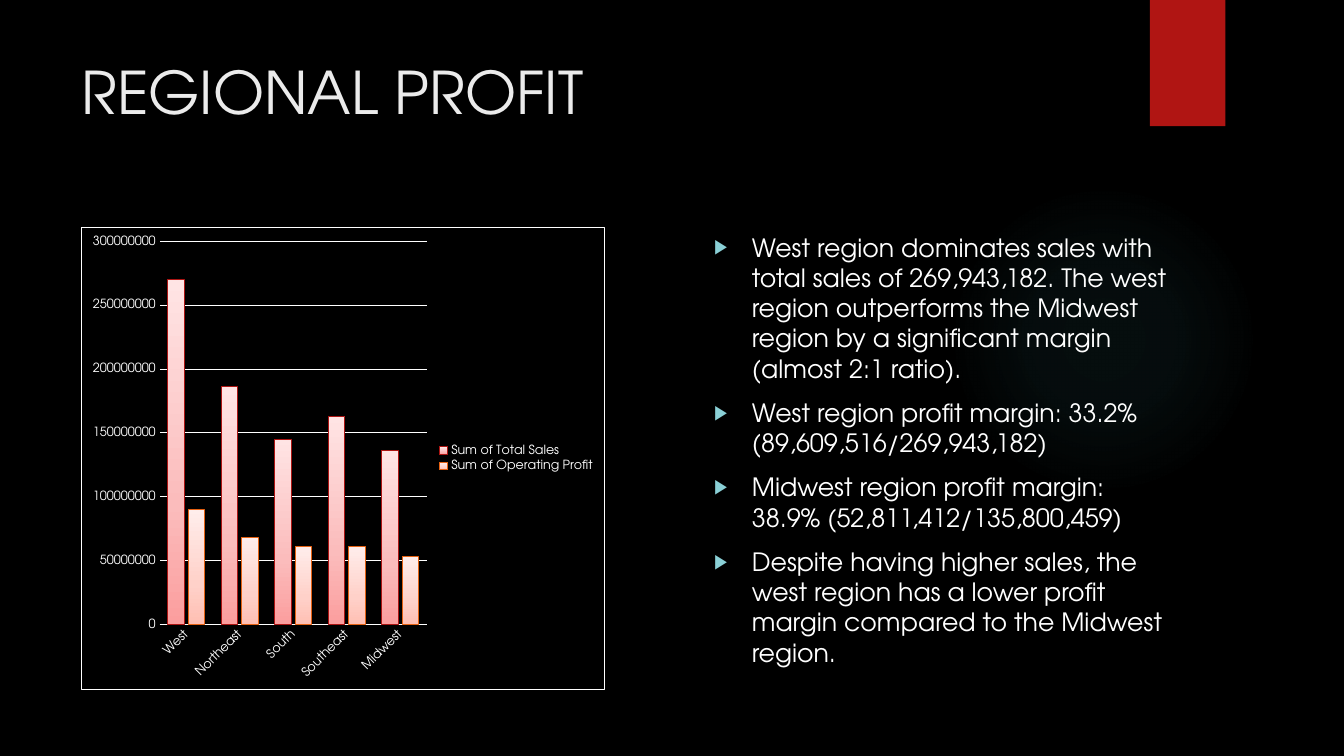
"""Build the regional profit slide: clustered columns beside a bulleted summary."""
import lxml.etree
import pptx
import pptx.chart.data
import pptx.dml.color
import pptx.enum.chart
import pptx.enum.shapes
import pptx.enum.text
import pptx.oxml.ns
import pptx.util

Cm, Pt, qn = pptx.util.Cm, pptx.util.Pt, pptx.oxml.ns.qn
FONT = "TeX Gyre Adventor"
NS = pptx.oxml.ns.nsdecls("a", "c")


def rgb(color):
    return pptx.dml.color.RGBColor.from_string(color)


def add_text(tf, text, size=18, color="FFFFFF", before=0, bullet=None, first=False):
    p = tf.paragraphs[0] if first else tf.add_paragraph()
    p.space_before = Pt(before)
    r = p.add_run()
    r.text = text
    r.font.name, r.font.size, r.font.color.rgb = FONT, Pt(size), rgb(color)
    if bullet:
        pPr = p._p.get_or_add_pPr()
        pPr.set("marL", str(Cm(0.95)))
        pPr.set("indent", str(-Cm(0.95)))
        for tag, key, value in [("buClr", None, None), ("buSzPct", "val", "80000"),
                                ("buFont", "typeface", "Arial"), ("buChar", "char", "▶")]:
            bu = lxml.etree.SubElement(pPr, qn(f"a:{tag}"))
            if key:
                bu.set(key, value)
            else:
                lxml.etree.SubElement(bu, qn("a:srgbClr")).set("val", bullet)


prs = pptx.Presentation()
prs.slide_width, prs.slide_height = Cm(33.87), Cm(19.05)
s = prs.slides.add_slide(prs.slide_layouts[6])
s.background.fill.solid()
s.background.fill.fore_color.rgb = rgb("000000")

SHAPE = pptx.enum.shapes.MSO_SHAPE
shapes = []
for kind, color, box in [
    (SHAPE.OVAL, "50B9C1", (23.9, 4.65, 7.82, 7.82)),
    (SHAPE.RECTANGLE, "B01513", (28.98, 0, 1.9, 3.18)),
]:
    sp = s.shapes.add_shape(kind, *map(Cm, box))
    sp.shadow.inherit = False
    sp.fill.solid()
    sp.fill.fore_color.rgb = rgb(color)
    sp.line.fill.background()
    shapes.append(sp)
glow = shapes[0]

frames = []
for box in [(1.8, 1.27, 26.14, 3.89), (17.75, 5.72, 12.22, 11.66)]:
    tf = s.shapes.add_textbox(*map(Cm, box)).text_frame
    tf.word_wrap = True
    tf.vertical_anchor = pptx.enum.text.MSO_ANCHOR.TOP
    frames.append(tf)
title, body = frames
add_text(title, "REGIONAL PROFIT", size=42, color="EBEBEB", first=True)
for i, text in enumerate([
    "West region dominates sales with total sales of 269,943,182. The west region "
    "outperforms the Midwest region by a significant margin (almost 2:1 ratio).",
    "West region profit margin: 33.2% (89,609,516/269,943,182)",
    "Midwest region profit margin: 38.9% (52,811,412/135,800,459)",
    "Despite having higher sales, the west region has a lower profit margin "
    "compared to the Midwest region.",
]):
    add_text(body, text, before=10, bullet="8AD0D6", first=i == 0)

data = pptx.chart.data.CategoryChartData(number_format="General")
data.categories = ["West", "Northeast", "South", "Southeast", "Midwest"]
for name, millions in [
    ("Sum of Total Sales", (270, 186, 145, 163, 136)),
    ("Sum of Operating Profit", (90, 68, 61, 61, 53)),
]:
    data.add_series(name, [m * 1000000 for m in millions])
chart = s.shapes.add_chart(
    pptx.enum.chart.XL_CHART_TYPE.COLUMN_CLUSTERED,
    Cm(2.03), Cm(5.72), Cm(13.23), Cm(11.66), data).chart
chart.has_title = False
chart.has_legend = True
chart.legend.position = pptx.enum.chart.XL_LEGEND_POSITION.RIGHT
chart.legend.include_in_layout = False

cat, val = chart.category_axis, chart.value_axis
for font, size in [(chart.font, 10), (chart.legend.font, 9),
                   (cat.tick_labels.font, 9), (val.tick_labels.font, 9)]:
    font.name, font.size, font.color.rgb = FONT, Pt(size), rgb("FFFFFF")
for axis in (cat, val):
    axis.major_tick_mark = axis.minor_tick_mark = pptx.enum.chart.XL_TICK_MARK.NONE
val.minimum_scale, val.maximum_scale, val.major_unit = 0, 300000000, 50000000
val.has_major_gridlines = True
val.format.line.fill.background()
for line in (cat.format.line, val.major_gridlines.format.line):
    line.color.rgb, line.width = rgb("FFFFFF"), Pt(0.75)

plot = chart.plots[0]
plot.gap_width, plot.overlap, plot.vary_by_categories = 100, -24, False
for ser, color in zip(plot.series, ("AC1513", "E56112")):
    ser.format.fill.solid()
    ser.format.line.color.rgb, ser.format.line.width = rgb(color), Pt(0.75)

root = chart.element
root.find(f".//{qn('c:catAx')}/{qn('c:txPr')}/{qn('a:bodyPr')}").set("rot", "-2700000")
root.find(qn("c:txPr")).addprevious(lxml.etree.fromstring(
    f'<c:spPr {NS}><a:solidFill><a:srgbClr val="000000"/></a:solidFill><a:ln w="9525">'
    '<a:solidFill><a:srgbClr val="FFFFFF"/></a:solidFill></a:ln></c:spPr>'))
area = root.find(f".//{qn('c:plotArea')}")
for old in area.findall(qn("c:layout")):
    area.remove(old)
layout = "".join(f'<c:{tag} val="{v}"/>' for tag, v in [
    ("layoutTarget", "inner"), ("xMode", "edge"), ("yMode", "edge"),
    ("x", 0.15), ("y", 0.03), ("w", 0.51), ("h", 0.83)])
area.insert(0, lxml.etree.fromstring(
    f"<c:layout {NS}><c:manualLayout>{layout}</c:manualLayout></c:layout>"))

upward = '<a:lin ang="16200000" scaled="0"/>'
radial = ('<a:path path="circle"><a:fillToRect l="50000" t="50000" '
          'r="50000" b="50000"/></a:path>')
sales, profit = [ser.find(qn("c:spPr")) for ser in root.iter(qn("c:ser"))]
for spPr, direction, stops in [
    (glow.element.spPr, radial, [(0, "50B9C1", 7), (36, "50B9C1", 6), (69, "50B9C1", 0)]),
    (sales, upward, [(0, "FB9E9E", 100), (35, "FBBCBC", 100), (100, "FFE4E4", 100)]),
    (profit, upward, [(0, "FFBFB3", 100), (35, "FFD1C9", 100), (100, "FFEDEB", 100)]),
]:
    gs = "".join(
        f'<a:gs pos="{pos * 1000}"><a:srgbClr val="{color}">'
        f'<a:alpha val="{alpha * 1000}"/></a:srgbClr></a:gs>'
        for pos, color, alpha in stops)
    spPr.replace(spPr.find(qn("a:solidFill")), lxml.etree.fromstring(
        f'<a:gradFill {NS} rotWithShape="1"><a:gsLst>{gs}</a:gsLst>{direction}</a:gradFill>'))

prs.save("out.pptx")
